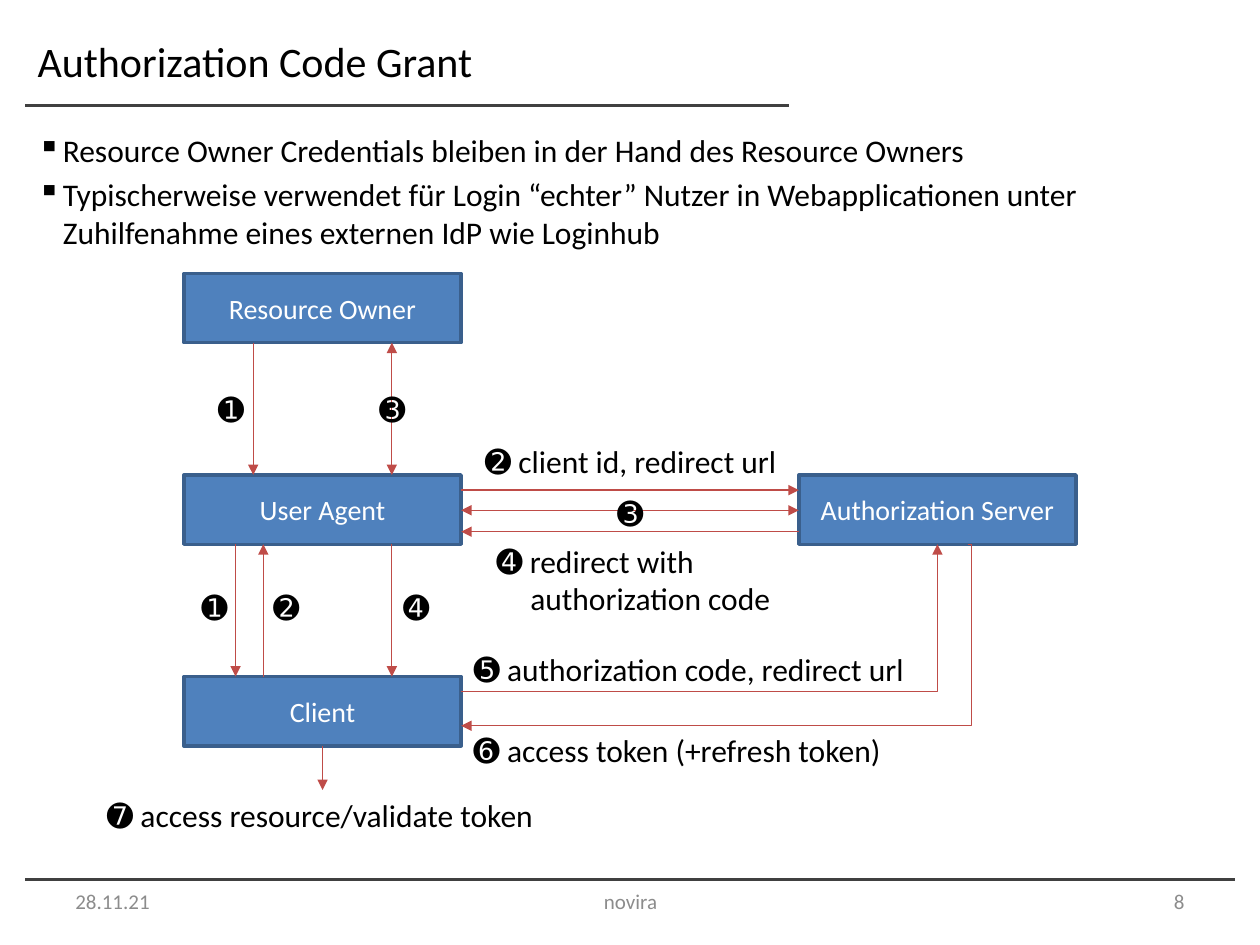
from lxml import etree
from pptx import Presentation
from pptx.dml.color import RGBColor
from pptx.enum.shapes import MSO_CONNECTOR as CONN, MSO_SHAPE
from pptx.enum.text import MSO_ANCHOR as ANCHOR, PP_ALIGN as ALIGN
from pptx.oxml.ns import qn
from pptx.util import Inches, Pt

BLACK = RGBColor(0x00, 0x00, 0x00)
WHITE = RGBColor(0xFF, 0xFF, 0xFF)
GRAY = RGBColor(0x8C, 0x8C, 0x8C)
RULE = RGBColor(0x40, 0x40, 0x40)
BLUE = RGBColor(0x4F, 0x81, 0xBD)
EDGE = RGBColor(0x3A, 0x5F, 0x8C)
RED = RGBColor(0xBF, 0x4C, 0x48)

# Grid of the diagram: two columns, three rows of boxes
LEFT, RIGHT = 1.46, 6.34
BOX_W, BOX_H = 2.2, 0.55
OWNER, AGENT, CLIENT = [2.17 + 1.6 * i for i in range(3)]
LEFT_END = LEFT + BOX_W

prs = Presentation()
prs.slide_width, prs.slide_height = Inches(10), Inches(7.5)
s = prs.slides.add_slide(prs.slide_layouts[6])


def write(sp, lines, size, color, align=ALIGN.LEFT, anchor=ANCHOR.TOP, wrap=True):
    tf = sp.text_frame
    tf.word_wrap, tf.vertical_anchor = wrap, anchor
    for i, line in enumerate(lines):
        p = tf.add_paragraph() if i else tf.paragraphs[0]
        p.alignment = align
        r = p.add_run()
        r.text = line
        r.font.name, r.font.size, r.font.color.rgb = "Calibri", Pt(size), color
    return tf.paragraphs


def connect(x1, y1, x2, y2, color=RED, width=0.75, ends=(), kind=CONN.STRAIGHT):
    cn = s.shapes.add_connector(kind, *map(Inches, (x1, y1, x2, y2)))
    cn.line.color.rgb, cn.line.width = color, Pt(width)
    ln = cn.line._get_or_add_ln()
    for end in ends:
        etree.SubElement(ln, qn(f"a:{end}"), type="triangle")
    etree.SubElement(cn._element.spPr, qn("a:effectLst"))
    return cn


# Rules under the title and above the footer
for y, x_end in ((0.84, 6.26), (6.98, 9.8)):
    connect(0.2, y, x_end, y, RULE, 1.5)

# Title
title = s.shapes.add_textbox(*map(Inches, (0.2, 0.13, 7.87, 0.71)))
write(title, ["Authorization Code Grant"], 24, BLACK, anchor=ANCHOR.MIDDLE)

# Bullets
body = s.shapes.add_textbox(*map(Inches, (0.2, 0.99, 9.61, 1.1)))
bullets = [
    "Resource Owner Credentials bleiben in der Hand des Resource Owners",
    "Typischerweise verwendet für Login “echter” Nutzer in Webapplicationen "
    "unter Zuhilfenahme eines externen IdP wie Loginhub",
]
for p in write(body, bullets, 18, BLACK):
    p.space_before = Pt(3.6)
    pPr = p._p.get_or_add_pPr()
    pPr.set("marL", str(Inches(0.2)))
    pPr.set("indent", str(-Inches(0.2)))
    etree.SubElement(pPr, qn("a:buChar"), char="▪")

# Footer
for x, w, text, align in (
    (0.5, 2.33, "28.11.21", ALIGN.LEFT),
    (3.42, 3.17, "novira", ALIGN.CENTER),
    (7.17, 2.33, "8", ALIGN.RIGHT),
):
    sp = s.shapes.add_textbox(*map(Inches, (x, 6.95, w, 0.4)))
    write(sp, [text], 12, GRAY, align, ANCHOR.MIDDLE)

# Boxes
for x, y, text in (
    (LEFT, AGENT, "User Agent"),
    (LEFT, CLIENT, "Client"),
    (RIGHT, AGENT, "Authorization Server"),
    (LEFT, OWNER, "Resource Owner"),
):
    sp = s.shapes.add_shape(MSO_SHAPE.RECTANGLE, *map(Inches, (x, y, BOX_W, BOX_H)))
    sp.shadow.inherit = False
    sp.fill.solid()
    sp.fill.fore_color.rgb = BLUE
    sp.line.color.rgb, sp.line.width = EDGE, Pt(2)
    write(sp, [text], 16, WHITE, ALIGN.CENTER, ANCHOR.MIDDLE)

# Straight arrows
ONE_WAY, BOTH = ("tailEnd",), ("headEnd", "tailEnd")
for x, y1, y2, ends in (
    (2.09, CLIENT, AGENT + BOX_H, ONE_WAY),
    (2.01, OWNER + BOX_H, AGENT, ONE_WAY),
    (1.87, AGENT + BOX_H, CLIENT, ONE_WAY),
    (3.11, AGENT, OWNER + BOX_H, BOTH),
    (3.11, AGENT + BOX_H, CLIENT, ONE_WAY),
    (2.56, CLIENT + BOX_H, 6.27, ONE_WAY),
):
    connect(x, y1, x, y2, ends=ends)
for x1, x2, y, ends in (
    (LEFT_END, RIGHT, 3.89, ONE_WAY),
    (LEFT_END, RIGHT, 4.05, BOTH),
    (RIGHT, LEFT_END, 4.22, ONE_WAY),
):
    connect(x1, y, x2, y, ends=ends)

# Bent arrows between client and authorization server
server_base = AGENT + BOX_H
request = connect(LEFT_END, 5.49, 7.44, server_base, ends=ONE_WAY, kind=CONN.ELBOW)
request._element.spPr.find(qn("a:prstGeom")).set("prst", "bentConnector2")
reply = connect(7.68, server_base, LEFT_END, 5.76, ends=ONE_WAY, kind=CONN.ELBOW)
geom = reply._element.spPr.find(qn("a:prstGeom"))
etree.SubElement(geom.get_or_add_avLst(), qn("a:gd"), name="adj1", fmla="val -800")

# Step labels
for x, y, w, *lines in (
    (1.63, 3.05, 0.41, "➊"),
    (1.5, 4.62, 0.41, "➊"),
    (3.75, 3.46, 2.54, "➋ client id, redirect url"),
    (2.07, 4.62, 0.41, "➋"),
    (LEFT_END, 5.75, 3.46, "➏ access token (+refresh token)"),
    (4.8, 3.87, 0.41, "➌"),
    (2.91, 3.05, 0.41, "➌"),
    (3.84, 4.25, 2.42, "➍ redirect with", "authorization code"),
    (3.1, 4.62, 0.41, "➍"),
    (LEFT_END, 5.11, 3.65, "➎ authorization code, redirect url"),
    (0.75, 6.27, 3.62, "➐ access resource/validate token"),
):
    # Dingbat digits of the sans-serif set
    lines = [t.translate({c: c + 10 - 10 + 0x0A for c in range(0x2780, 0x2787)}) for t in lines]
    sp = s.shapes.add_textbox(*map(Inches, (x, y, w, 0.1 + 0.3 * len(lines))))
    for p in write(sp, lines, 18, BLACK, wrap=False)[1:]:
        p._p.get_or_add_pPr().set("marL", str(Inches(0.27)))

prs.save("out.pptx")
